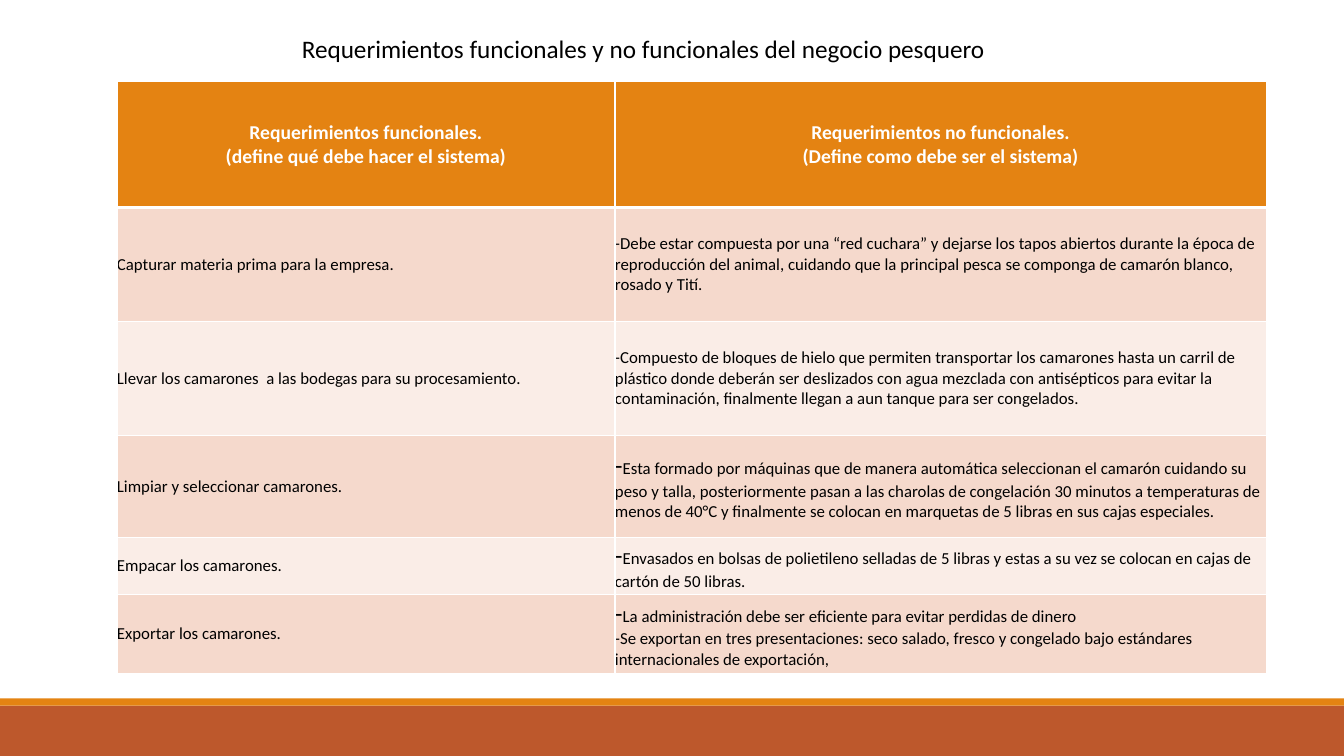
"""Build the slide of functional and non-functional requirements of a fishing business."""
from pptx import Presentation
from pptx.dml.color import RGBColor as RGB
from pptx.enum.shapes import MSO_SHAPE as SHAPE
from pptx.enum.text import MSO_ANCHOR as ANCHOR, PP_ALIGN as ALIGN
from pptx.oxml import parse_xml
from pptx.oxml.ns import nsdecls
from pptx.util import Inches, Pt

WHITE = RGB(0xFF, 0xFF, 0xFF)
BLACK = RGB(0x00, 0x00, 0x00)
ORANGE = RGB(0xE4, 0x83, 0x12)
RUST = RGB(0xBD, 0x58, 0x2C)
PEACH = RGB(0xF5, 0xD9, 0xCC)
CREAM = RGB(0xFA, 0xED, 0xE7)


def add_run(para, text, size, color, bold=False):
    run = para.add_run()
    run.text = text
    look = {"name": "Calibri", "size": Pt(size), "bold": bold}
    for key, value in look.items():
        setattr(run.font, key, value)
    run.font.color.rgb = color


def add_edge(cell, place, side, width):
    cell._tc.get_or_add_tcPr().insert(place, parse_xml(
        f'<a:ln{side} {nsdecls("a")} w="{Pt(width)}"><a:solidFill>'
        f'<a:srgbClr val="{WHITE}"/></a:solidFill></a:ln{side}>'))


deck = Presentation()
deck.slide_width, deck.slide_height = Inches(13.33), Inches(7.5)
slide = deck.slides.add_slide(deck.slide_layouts[6])

for top, height, color in [(7, 0.5, RUST), (6.93, 0.07, ORANGE)]:
    band = slide.shapes.add_shape(
        SHAPE.RECTANGLE, 0, Inches(top), Inches(13.33), Inches(height))
    band.shadow.inherit = False
    band.fill.solid()
    band.fill.fore_color.rgb = color
    band.line.fill.background()

heads = [
    ["Requerimientos funcionales.", "(define qué debe hacer el sistema)"],
    ["Requerimientos no funcionales.", "(Define como debe ser el sistema)"],
]
needs = [
    [["Capturar materia prima para la empresa."],
     ["-Debe estar compuesta por una “red cuchara” y dejarse los tapos abiertos "
      "durante la época de reproducción del animal, cuidando que la principal "
      "pesca se componga de camarón blanco, rosado y Tití."]],
    [["Llevar los camarones  a las bodegas para su procesamiento."],
     ["-Compuesto de bloques de hielo que permiten transportar los camarones "
      "hasta un carril de plástico donde deberán ser deslizados con agua "
      "mezclada con antisépticos para evitar la contaminación, finalmente "
      "llegan a aun tanque para ser congelados."]],
    [["Limpiar y seleccionar camarones."],
     ["-Esta formado por máquinas que de manera automática seleccionan el "
      "camarón cuidando su peso y talla, posteriormente pasan a las charolas "
      "de congelación 30 minutos a temperaturas de menos de 40°C y finalmente "
      "se colocan en marquetas de 5 libras en sus cajas especiales."]],
    [["Empacar los camarones."],
     ["-Envasados en bolsas de polietileno selladas de 5 libras y estas a su "
      "vez se colocan en cajas de cartón de 50 libras."]],
    [["Exportar los camarones."],
     ["-La administración debe ser eficiente para evitar perdidas de dinero",
      "-Se exportan en tres presentaciones: seco salado, fresco y congelado "
      "bajo estándares internacionales de exportación,"]],
]
rows = [heads] + needs
widths = [4.94, 6.46]
heights = [1.25, 1.13, 1.13, 1.01, 0.57, 0.78]

table = slide.shapes.add_table(
    len(rows), len(widths), Inches(1.16), Inches(0.81),
    Inches(sum(widths)), Inches(sum(heights))).table
for col, width in zip(table.columns, widths):
    col.width = Inches(width)
for row, height in zip(table.rows, heights):
    row.height = Inches(height)

inset = {"margin_left": 0, "margin_right": 0, "margin_top": 0,
         "margin_bottom": 0, "vertical_anchor": ANCHOR.MIDDLE}
for r, row in enumerate(rows):
    head = r == 0
    fill = ORANGE if head else PEACH if r % 2 else CREAM
    for c, lines in enumerate(row):
        cell = table.cell(r, c)
        for key, value in inset.items():
            setattr(cell, key, value)
        cell.fill.solid()
        cell.fill.fore_color.rgb = fill
        edges = {"L": 1, "R": 1, "T": 3 if r == 1 else 1, "B": 3 if head else 1}
        for place, (side, width) in enumerate(edges.items()):
            add_edge(cell, place, side, width)
        frame = cell.text_frame
        for n, line in enumerate(lines):
            para = frame.add_paragraph() if n else frame.paragraphs[0]
            para.alignment = ALIGN.CENTER if head else ALIGN.LEFT
            if r >= 3 and c == 1 and n == 0:
                add_run(para, line[0], 18, BLACK)
                line = line[1:]
            add_run(para, line, 14 if head else 12, WHITE if head else BLACK, head)

title = slide.shapes.add_textbox(
    Inches(2.85), Inches(0.28), Inches(7.12), Inches(0.4)).text_frame
title.word_wrap = False
title.paragraphs[0].alignment = ALIGN.CENTER
add_run(title.paragraphs[0],
        "Requerimientos funcionales y no funcionales del negocio pesquero ",
        18, BLACK)

deck.save("out.pptx")
